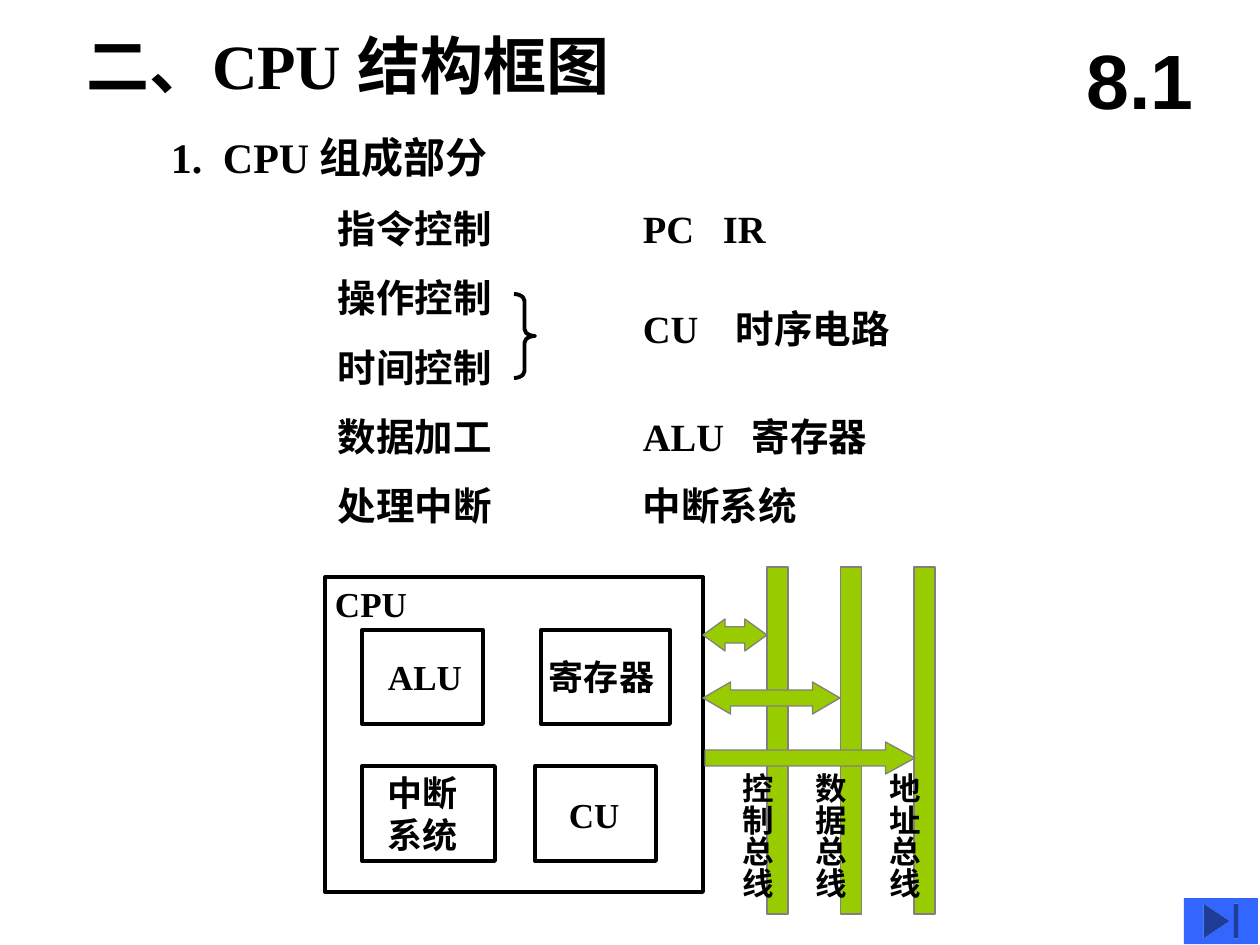
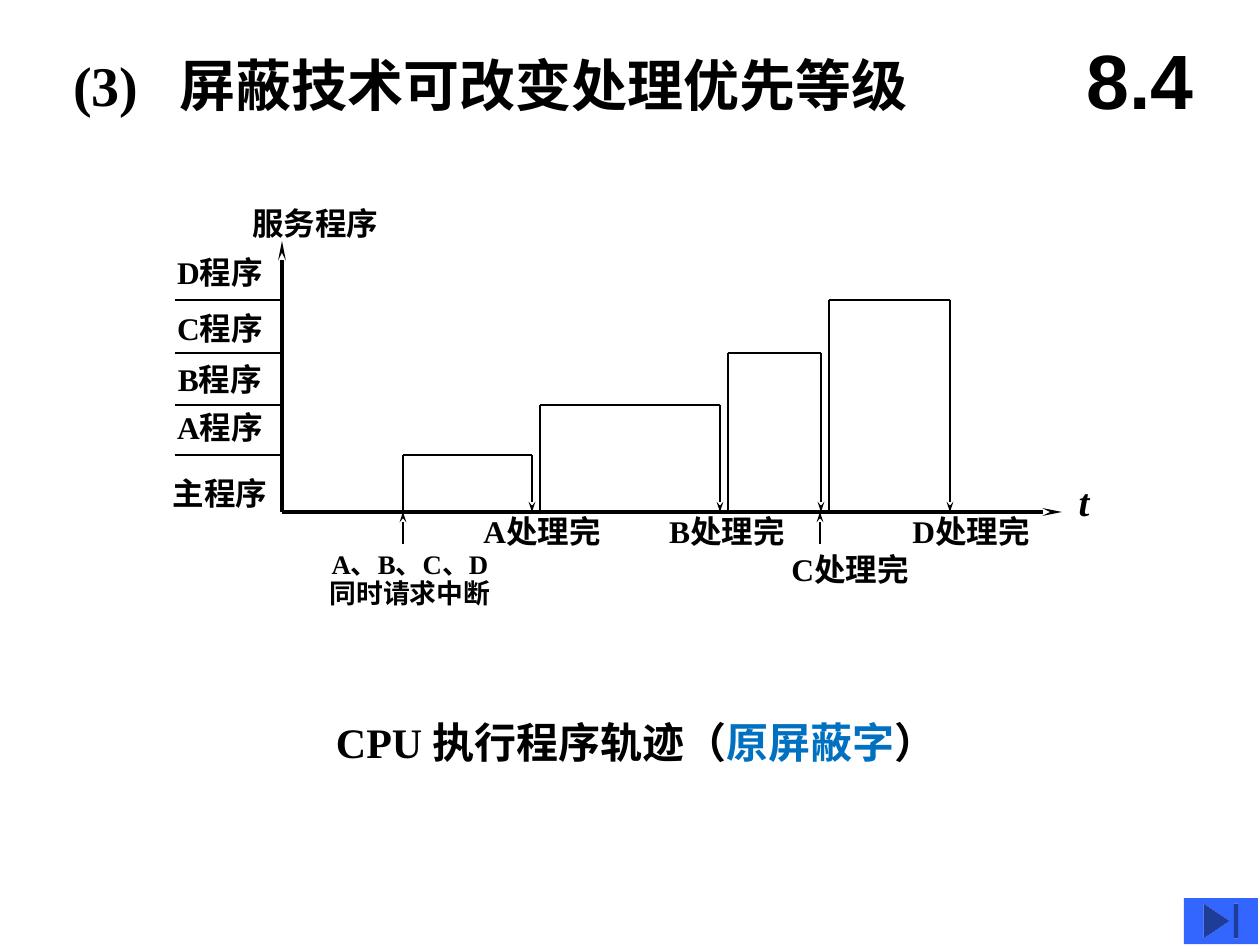
from lxml import etree
from pptx import Presentation
from pptx import util as u
from pptx.dml.color import RGBColor
from pptx.enum import shapes, text
from pptx.oxml.ns import qn

SCALE = 914400 / 126
BLACK = RGBColor(0, 0, 0)
GREEN = RGBColor(0x99, 0xCC, 0x00)
GRAY = RGBColor(0x80, 0x80, 0x80)
BLUE = RGBColor(0x33, 0x66, 0xFF)
ACCENT = RGBColor(0x00, 0x70, 0xC0)
SERIF, SANS = "Times New Roman", "Arial"
PAD, FLUSH = (13, 6), (0, 0)
LEFT, MID = text.PP_ALIGN.LEFT, text.PP_ALIGN.CENTER
TOP, CENTER = text.MSO_ANCHOR.TOP, text.MSO_ANCHOR.MIDDLE
KIND = shapes.MSO_SHAPE


def px(n):
    return u.Emu(round(n * SCALE))


def add_tab(para, pos):
    """Put a left tab stop at pos px from the text edge."""
    tabs = etree.SubElement(para._p.get_or_add_pPr(), qn("a:tabLst"))
    etree.SubElement(tabs, qn("a:tab"), pos=str(px(pos)), algn="l")


def write(slide, box, lines, size, align=LEFT, pad=PAD, anchor=TOP,
          font=SERIF, tab=None, space=None, italic=False, upright=False):
    """Add a text box; each line is a list of (words, colour) runs or a string."""
    shape = slide.shapes.add_textbox(*map(px, box))
    frame = shape.text_frame
    frame.word_wrap = True
    frame.vertical_anchor = anchor
    frame.margin_left = frame.margin_right = px(pad[0])
    frame.margin_top = frame.margin_bottom = px(pad[1])
    if upright:
        frame._txBody.bodyPr.set("vert", "eaVert")
    for i, line in enumerate(lines):
        para = frame.add_paragraph() if i else frame.paragraphs[0]
        para.alignment = align
        if space:
            para.line_spacing = space
        if tab:
            add_tab(para, tab)
        for words, color in [(line, BLACK)] if isinstance(line, str) else line:
            run = para.add_run()
            run.text = words
            run.font.name = font
            run.font.size = u.Pt(size)
            run.font.bold = True
            run.font.italic = italic
            run.font.color.rgb = color


def draw(slide, kind, box, fill=None, line=None, width=2.25, adjust=()):
    shape = slide.shapes.add_shape(kind, *map(px, box))
    shape.shadow.inherit = False
    for i, value in enumerate(adjust):
        shape.adjustments[i] = value
    if fill is None:
        shape.fill.background()
    else:
        shape.fill.solid()
        shape.fill.fore_color.rgb = fill
    if line is None:
        shape.line.fill.background()
    else:
        shape.line.color.rgb = line
        shape.line.width = u.Pt(width)


def rule(slide, start, end, width, tip=None):
    """Draw a straight line; tip is the length class of an arrowhead at the end."""
    line = slide.shapes.add_connector(
        shapes.MSO_CONNECTOR.STRAIGHT, *map(px, start + end))
    line.line.color.rgb = BLACK
    line.line.width = u.Pt(width)
    if tip:
        etree.SubElement(line.line._get_or_add_ln(), qn("a:tailEnd"),
                         type="stealth", w="sm", len=tip)
    etree.SubElement(line._element.spPr, qn("a:effectLst"))


def start(deck, number):
    """Add a slide with its section number and its end button."""
    slide = deck.slides.add_slide(deck.slide_layouts[6])
    write(slide, (1061, 21, 158, 116), [number], 44, MID,
          anchor=CENTER, font=SANS)
    draw(slide, KIND.ACTION_BUTTON_END, (1184, 898, 74, 46), BLUE)
    return slide


def list_parts(slide):
    write(slide, (158, 126, 441, 63), ["1.\tCPU 组成部分"], 24, tab=52)
    duties = ["指令控制", "操作控制", "时间控制", "数据加工", "处理中断"]
    for i, duty in enumerate(duties):
        write(slide, (325, 199 + 69.3 * i, 378, 59), [duty], 22)
    units = [(199, "PC\tIR", 80), (299, "CU\t时序电路", 93),
             (407, "ALU\t寄存器", 109), (476, "中断系统", None)]
    for top, name, tab in units:
        write(slide, (630, top, 378, 59), [name], 22, tab=tab)
    draw(slide, KIND.RIGHT_BRACE, (514, 294, 21, 84), line=BLACK,
         adjust=(0.33, 0.5))


def draw_cpu(slide):
    draw(slide, KIND.RECTANGLE, (325, 577, 378, 315), line=BLACK)
    write(slide, (322, 576, 110, 55), ["CPU"], 20)
    units = [((362, 630, 121, 94), (375, 649), ["ALU"]),
             ((541, 630, 129, 94), (536, 649), ["寄存器"]),
             ((362, 766, 133, 95), (375, 765), ["中断", "系统"]),
             ((535, 766, 121, 95), (556, 787), ["CU"])]
    for box, spot, name in units:
        draw(slide, KIND.RECTANGLE, box, line=BLACK)
        write(slide, spot + (140, 55), name, 20)


def draw_buses(slide):
    names = ["控制总线", "数据总线", "地址总线"]
    lefts = [767 + 73.5 * i for i in range(len(names))]
    for left in lefts:
        draw(slide, KIND.RECTANGLE, (left, 567, 21, 347), GREEN, GRAY, 0.75)
    for left, name in zip(lefts, names):
        write(slide, (left - 48, 767, 63, 150), [name], 18,
              pad=(6, 6), upright=True)
    both = KIND.LEFT_RIGHT_ARROW
    links = [(both, (703, 619, 64, 32), (0.51, 0.69)),
             (both, (703, 682, 137, 32), (0.5, 0.86)),
             (KIND.RIGHT_ARROW, (705, 742, 210, 32), (0.5, 0.92))]
    for kind, box, adjust in links:
        draw(slide, kind, box, GREEN, GRAY, 0.75, adjust)


def draw_axes(slide, base, levels):
    rule(slide, (282, base), (1062, base), 2.25, "lg")
    rule(slide, (282, base), (282, 241), 2.25, "lg")
    write(slide, (229, 204, 173, 48), ["服务程序"], 18, MID, FLUSH)
    write(slide, (1052, 483, 64, 47), ["t"], 22.2, MID, FLUSH,
          space=0.9, italic=True)
    for level in levels:
        rule(slide, (175, level), (282, level), 0.75)
    rows = [(253, "D程序"), (309, "C程序"), (360, "B程序"),
            (408, "A程序"), (474, "主程序")]
    for top, name in rows:
        write(slide, (164, top, 112, 47), [name], 18, MID, FLUSH)


def draw_trace(slide, base, levels):
    """Draw each routine's rise, run and return to the time axis."""
    spans = [(403, 532, 1.5), (540, 720, 1), (728, 821, 1), (829, 950, 1.5)]
    for (left, right, width), level in zip(spans, levels):
        rule(slide, (left, base), (left, level), 1.5)
        rule(slide, (left, level), (right, level), 1.5)
        rule(slide, (right, level), (right, base), width, "med")
    for x in (403, 820):
        rule(slide, (x, 544), (x, base), 0.75, "med")
    ends = [(542, 512, "A"), (727, 512, "B"), (850, 550, "C"), (971, 512, "D")]
    for mid, top, name in ends:
        write(slide, (mid - 77, top, 154, 45), [name + "处理完"], 18, MID, FLUSH)
    write(slide, (314, 551, 192, 72), ["A、B、C、D", "同时请求中断"],
          15.3, MID, FLUSH, space=0.9)


def main():
    deck = Presentation()
    deck.slide_width, deck.slide_height = px(1260), px(945)

    frame = start(deck, "8.1")
    write(frame, (73, 21, 788, 88), ["二、CPU 结构框图"], 36)
    list_parts(frame)
    draw_cpu(frame)
    draw_buses(frame)

    mask = start(deck, "8.4")
    write(mask, (73, 55, 950, 59), ["(3)\t屏蔽技术可改变处理优先等级"], 32,
          pad=FLUSH, anchor=CENTER, tab=106)
    base, levels = 512, [455, 405, 353, 300]
    draw_axes(mask, base, levels)
    draw_trace(mask, base, levels)
    write(mask, (323, 711, 714, 63),
          [[("CPU 执行程序轨迹（", BLACK), ("原屏蔽字", ACCENT), ("）", BLACK)]], 24)
    deck.save("out.pptx")


if __name__ == "__main__":
    main()
